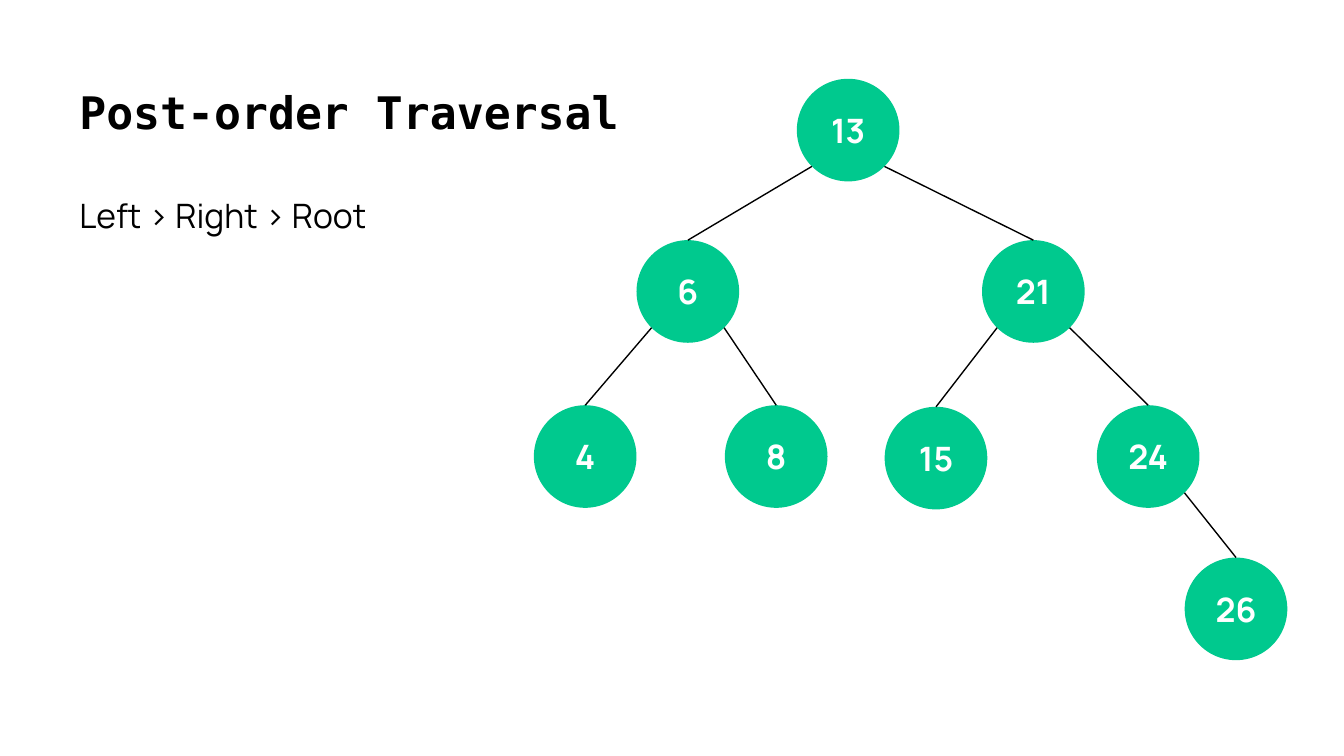
"""Build a slide showing post-order traversal of a binary search tree."""
from math import sqrt

from lxml.etree import SubElement
from pptx import Presentation
from pptx.dml.color import RGBColor
from pptx.enum.shapes import MSO_CONNECTOR, MSO_SHAPE
from pptx.enum.text import MSO_ANCHOR, PP_ALIGN
from pptx.oxml.ns import qn
from pptx.util import Cm, Pt


def color(value):
    return RGBColor.from_string(value)


def write(shape, text, font, size, ink, bold=False):
    frame = shape.text_frame
    frame.word_wrap = True
    frame.margin_left = frame.margin_right = Cm(0.25)
    frame.margin_top = frame.margin_bottom = Cm(0.25)
    frame.text = text
    span = frame.paragraphs[0].runs[0]
    span.font.name = font
    span.font.size = Pt(size)
    span.font.bold = bold
    span.font.color.rgb = color(ink)


deck = Presentation()
deck.slide_width, deck.slide_height = Cm(25.4), Cm(14.29)
page = deck.slides.add_slide(deck.slide_layouts[6])

title = page.shapes.add_textbox(Cm(1.25), Cm(1.35), Cm(22.9), Cm(1.6))
write(title, "Post-order Traversal", "DejaVu Sans Mono", 24, "000000", True)
order = page.shapes.add_textbox(Cm(1.25), Cm(3.43), Cm(7.26), Cm(1.27))
write(order, "Left > Right > Root", "Manrope", 18, "000000")

radius = 0.97
centers = {
    13: (16.03, 2.46),
    6: (13, 5.51), 21: (19.53, 5.51),
    4: (11.06, 8.63), 8: (14.67, 8.63), 15: (17.69, 8.66), 24: (21.7, 8.63),
    26: (23.36, 11.51),
}
edges = [(13, 6), (13, 21), (6, 4), (6, 8), (21, 15), (21, 24), (24, 26)]

for key, (x, y) in centers.items():
    node = page.shapes.add_shape(
        MSO_SHAPE.OVAL, Cm(x - radius), Cm(y - radius), Cm(2 * radius), Cm(2 * radius))
    node.shadow.inherit = False
    node.fill.solid()
    node.fill.fore_color.rgb = color("00C98E")
    node.line.fill.background()
    write(node, str(key), "Manrope", 18, "FFFFFF", True)
    node.text_frame.vertical_anchor = MSO_ANCHOR.MIDDLE
    node.text_frame.paragraphs[0].alignment = PP_ALIGN.CENTER

diagonal = radius / sqrt(2)
for parent, child in edges:
    parent_x, parent_y = centers[parent]
    child_x, child_y = centers[child]
    side = -diagonal if child < parent else diagonal
    edge = page.shapes.add_connector(
        MSO_CONNECTOR.STRAIGHT, Cm(parent_x + side), Cm(parent_y + diagonal),
        Cm(child_x), Cm(child_y - radius))
    edge.line.color.rgb = color("000000")
    edge.line.width = Pt(0.75)
    SubElement(edge.element.spPr, qn("a:effectLst"))

deck.save("out.pptx")
